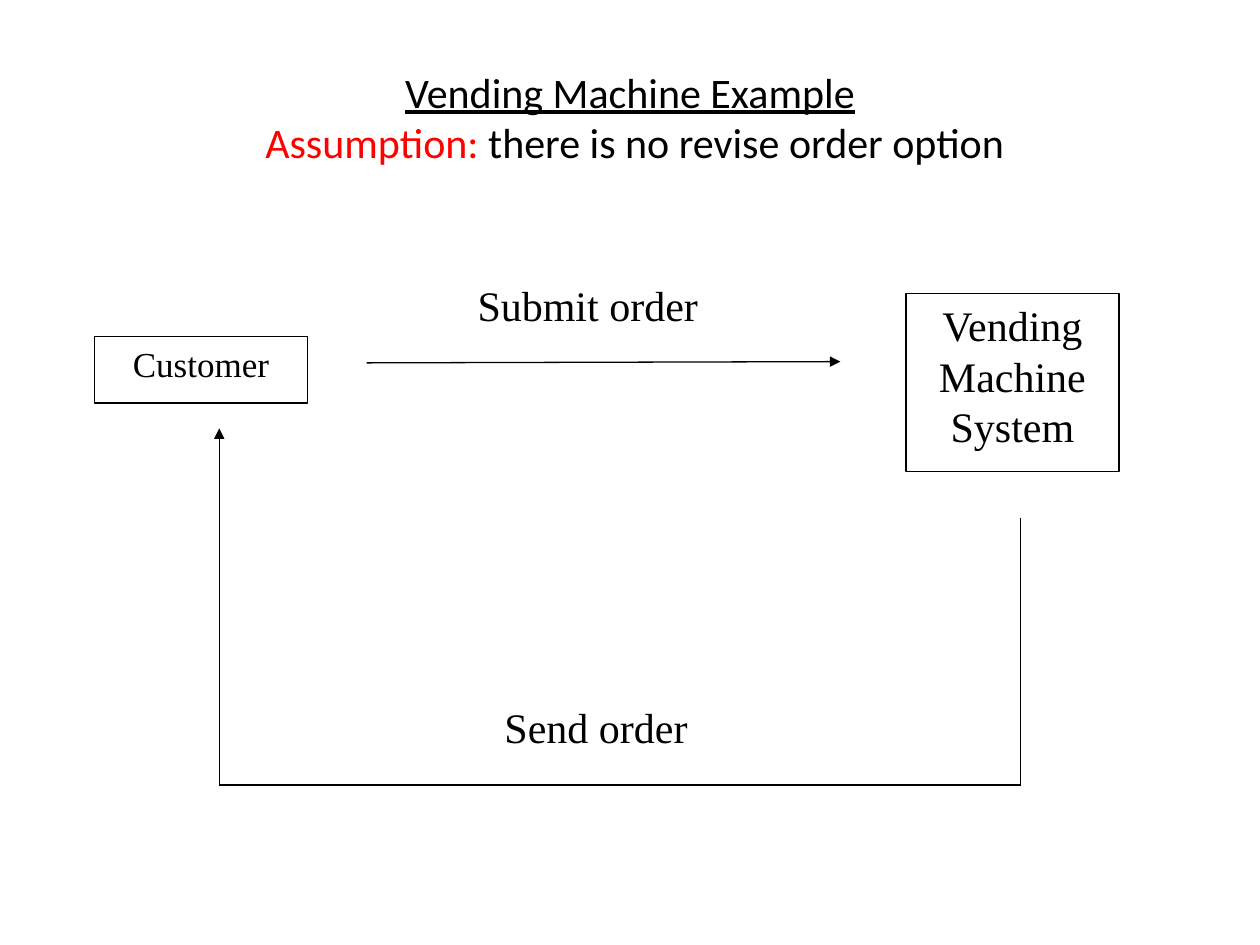
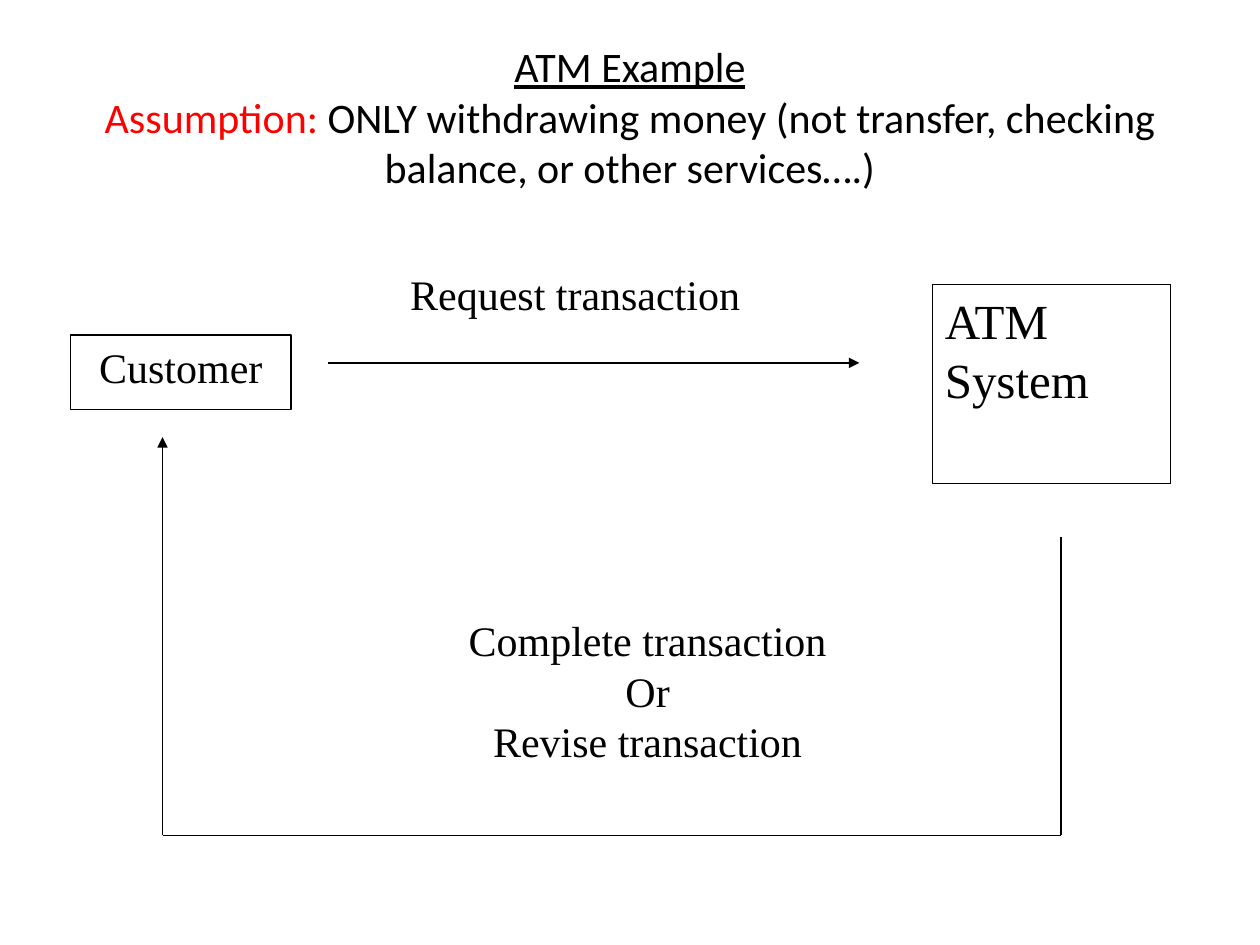
from dataclasses import dataclass

from lxml import etree
from pptx import Presentation
from pptx import util as u
from pptx.dml.color import RGBColor
from pptx.enum import shapes, text
from pptx.oxml.ns import qn


@dataclass(frozen=True)
class Theme:
    ink: RGBColor = RGBColor(0, 0, 0)
    paper: RGBColor = RGBColor(255, 255, 255)
    accent: RGBColor = RGBColor(255, 0, 0)
    title_font: str = "Calibri"
    diagram_font: str = "Times New Roman"
    title_size: int = 24
    small: int = 20
    normal: int = 24
    large: int = 28
    line_width: float = 0.75


THEME = Theme()
CENTER = text.PP_ALIGN.CENTER
LEFT = text.PP_ALIGN.LEFT


def style_span(span, font, size, color):
    span.font.name = font
    span.font.size = u.Pt(size)
    span.font.color.rgb = color


def set_title(page, heading, label, assumption):
    """Underlined heading, then a coloured label and the assumption."""
    title = page.shapes.title
    title.left, title.top = u.Inches(0.5), u.Inches(0.3)
    title.width, title.height = u.Inches(9), u.Inches(1.25)
    frame = title.text_frame
    frame.word_wrap = True
    frame.auto_size = text.MSO_AUTO_SIZE.NONE
    frame.vertical_anchor = text.MSO_ANCHOR.MIDDLE
    para = frame.paragraphs[0]
    para.alignment = CENTER
    para.text = f"{heading}\v{label}"
    para.add_run().text = assumption
    for span, color in zip(para.runs, (THEME.ink, THEME.accent, THEME.ink)):
        style_span(span, THEME.title_font, THEME.title_size, color)
    para.runs[0].font.underline = True


def add_box(page, bounds, wording, size=THEME.normal, align=CENTER, border=THEME.ink):
    box = page.shapes.add_shape(
        shapes.MSO_SHAPE.RECTANGLE, *(u.Inches(n) for n in bounds))
    box.shadow.inherit = False
    box.fill.solid()
    box.fill.fore_color.rgb = THEME.paper
    box.line.color.rgb = border
    box.line.width = u.Pt(THEME.line_width)
    frame = box.text_frame
    frame.word_wrap = True
    frame.vertical_anchor = text.MSO_ANCHOR.TOP
    frame.text = wording
    for para in frame.paragraphs:
        para.alignment = align
        for span in para.runs:
            style_span(span, THEME.diagram_font, size, THEME.ink)


def add_flow_label(page, bounds, wording):
    add_box(page, bounds, wording, border=THEME.paper)


def add_line(page, start, end, arrow=False):
    line = page.shapes.add_connector(
        shapes.MSO_CONNECTOR.STRAIGHT, *(u.Inches(n) for n in (*start, *end)))
    line.line.color.rgb = THEME.ink
    line.line.width = u.Pt(THEME.line_width)
    if arrow:
        etree.SubElement(line.line._get_or_add_ln(), qn("a:tailEnd"), type="triangle")
    etree.SubElement(line._element.spPr, qn("a:effectLst"))


def add_return_path(page, start, floor, end):
    """Go down to the floor, across, and up to an arrowhead."""
    corners = [start, (start[0], floor), (end[0], floor), end]
    for begin, finish in zip(corners, corners[1:]):
        add_line(page, begin, finish, arrow=finish == end)


def add_page(deck, heading, label, assumption):
    page = deck.slides.add_slide(deck.slide_layouts.get_by_name("Title Only"))
    set_title(page, heading, label, assumption)
    return page


def build_vending_page(deck):
    page = add_page(deck, "Vending Machine Example", " Assumption:",
                    " there is no revise order option")
    # Request
    add_line(page, (2.91, 2.88), (6.67, 2.87), arrow=True)
    # Actors
    add_box(page, (0.75, 2.67, 1.69, 0.53), "Customer", THEME.small)
    add_box(page, (7.19, 2.33, 1.69, 1.41), "Vending Machine System")
    # Response
    add_return_path(page, (8.1, 4.11), 6.23, (1.74, 3.4))
    # Flow labels
    add_flow_label(page, (3.82, 5.52, 1.82, 0.53), "Send order")
    add_flow_label(page, (3.56, 2.17, 2.21, 0.53), "Submit order")


def build_atm_page(deck):
    page = add_page(
        deck, "ATM Example", "Assumption: ",
        "ONLY withdrawing money (not transfer, checking balance, or other services….)")
    # Request
    add_line(page, (2.6, 2.88), (6.82, 2.88), arrow=True)
    # Actors
    add_box(page, (0.56, 2.66, 1.75, 0.59), "Customer")
    add_box(page, (7.4, 2.26, 1.89, 1.58), "ATM System", THEME.large, LEFT)
    # Response
    add_return_path(page, (8.42, 4.26), 6.63, (1.29, 3.47))
    # Flow labels
    add_flow_label(page, (3.25, 4.83, 3.78, 1.58),
                   "Complete transaction\nOr\nRevise transaction")
    add_flow_label(page, (2.89, 2.08, 3.35, 0.59), "Request transaction")


def main():
    deck = Presentation()
    deck.slide_width, deck.slide_height = u.Inches(10), u.Inches(7.5)
    # Shared title size, which also governs the line break in each title
    title_style = deck.slide_master.element.find(".//" + qn("p:titleStyle"))
    for defaults in title_style.iter(qn("a:defRPr")):
        defaults.set("sz", str(THEME.title_size * 100))
    build_vending_page(deck)
    build_atm_page(deck)
    deck.save("out.pptx")


if __name__ == "__main__":
    main()
